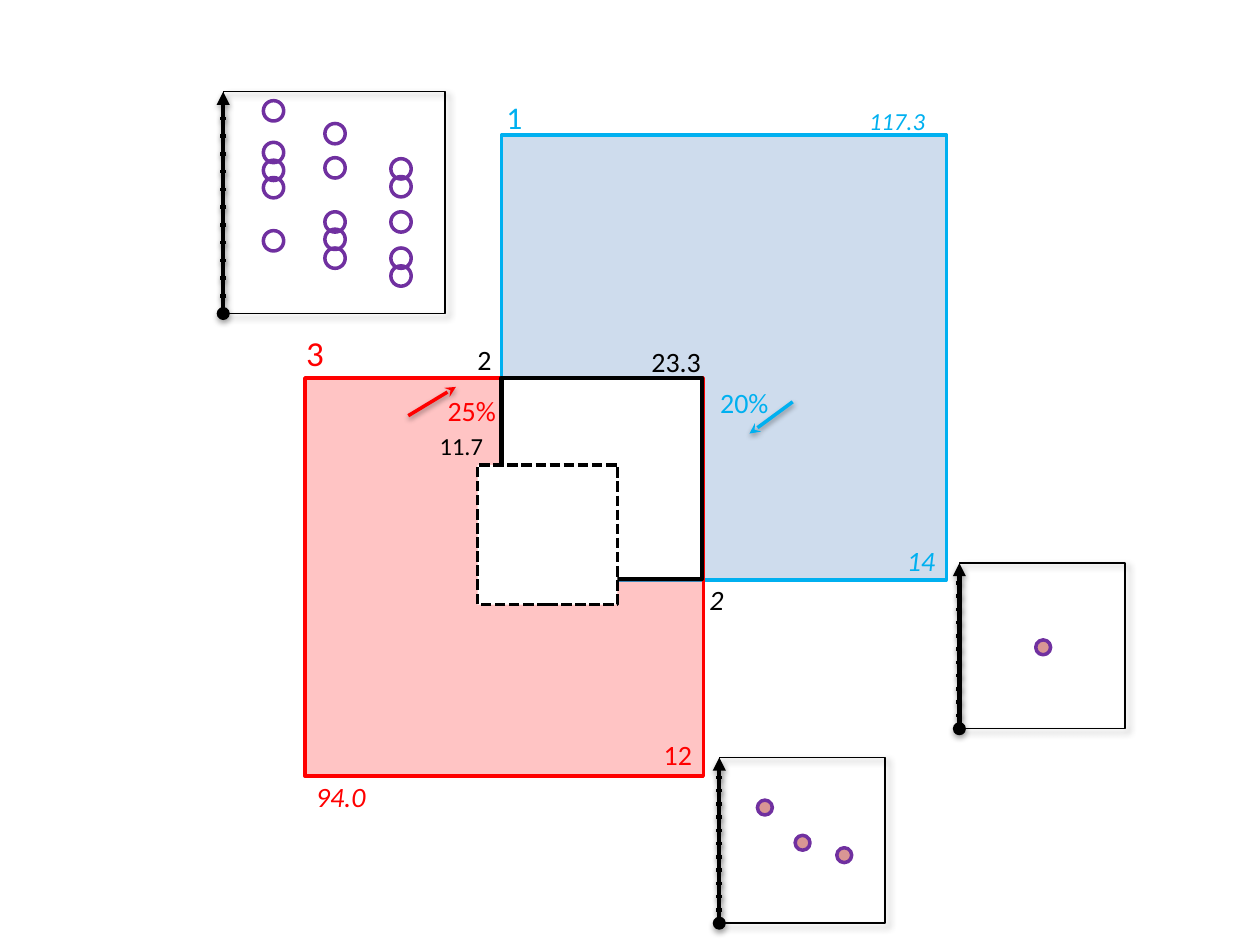
import pptx
import pptx.dml.color
import pptx.enum.dml
import pptx.enum.shapes
import pptx.enum.text
import pptx.oxml
import pptx.oxml.ns
import pptx.util
from pptx.util import Cm

RGBColor = pptx.dml.color.RGBColor
BLACK = RGBColor(0x00, 0x00, 0x00)
WHITE = RGBColor(0xFF, 0xFF, 0xFF)
BLUE = RGBColor(0x00, 0xB0, 0xF0)
PALE_BLUE = RGBColor(0xB9, 0xCD, 0xE5)
RED = RGBColor(0xFF, 0x00, 0x00)
PURPLE = RGBColor(0x70, 0x30, 0xA0)
PINK = RGBColor(0xD9, 0x96, 0x94)

RECTANGLE = pptx.enum.shapes.MSO_SHAPE.RECTANGLE
OVAL = pptx.enum.shapes.MSO_SHAPE.OVAL
LEFT, CENTER, RIGHT = (pptx.enum.text.PP_ALIGN.LEFT, pptx.enum.text.PP_ALIGN.CENTER,
                       pptx.enum.text.PP_ALIGN.RIGHT)
TOP, MIDDLE, BOTTOM = (pptx.enum.text.MSO_ANCHOR.TOP, pptx.enum.text.MSO_ANCHOR.MIDDLE,
                       pptx.enum.text.MSO_ANCHOR.BOTTOM)

NS = pptx.oxml.ns.nsdecls("a")
SHADOW = (f'<a:outerShdw {NS} blurRad="%d" dist="%d" dir="%d" rotWithShape="0">'
          '<a:srgbClr val="000000"><a:alpha val="%d"/></a:srgbClr></a:outerShdw>')
AXIS_SHADOW = SHADOW % (40000, 23000, 5400000, 35000)
LINE_SHADOW = SHADOW % (40000, 20000, 5400000, 38000)
FRAME_SHADOW = SHADOW % (50800, 38100, 2700000, 40000)


def draw_shape(shapes, kind, left, top, width, height, fill, opacity, color, weight):
    shape = shapes.add_shape(kind, Cm(left), Cm(top), Cm(width), Cm(height))
    shape.shadow.inherit = False
    if fill is None:
        shape.fill.background()
    else:
        shape.fill.solid()
        shape.fill.fore_color.rgb = fill
        if opacity < 100:
            tint = shape.fill._xPr.find(".//" + pptx.oxml.ns.qn("a:srgbClr"))
            tint.append(pptx.oxml.parse_xml(f'<a:alpha {NS} val="{opacity * 1000}"/>'))
    if color is None:
        shape.line.fill.background()
    else:
        shape.line.color.rgb = color
        shape.line.width = pptx.util.Pt(weight)
    return shape


def draw_line(shapes, start, end, color, weight, shadow, head="none", tail="none"):
    line = shapes.add_connector(pptx.enum.shapes.MSO_CONNECTOR.STRAIGHT,
                                Cm(start[0]), Cm(start[1]), Cm(end[0]), Cm(end[1]))
    line.line.color.rgb = color
    line.line.width = pptx.util.Pt(weight)
    outline = line.line._get_or_add_ln()
    outline.append(pptx.oxml.parse_xml(f'<a:headEnd {NS} type="{head}"/>'))
    outline.append(pptx.oxml.parse_xml(f'<a:tailEnd {NS} type="{tail}"/>'))
    effects = pptx.oxml.parse_xml(f"<a:effectLst {NS}/>")
    effects.append(pptx.oxml.parse_xml(shadow))
    line._element.spPr.append(effects)


prs = pptx.Presentation()
prs.slide_width = Cm(25.4)
prs.slide_height = Cm(19.05)
slide = prs.slides.add_slide(prs.slide_layouts[6])

draw_shape(slide.shapes, RECTANGLE, 10.11, 2.72, 8.97, 8.97, PALE_BLUE, 69, BLUE, 2)
draw_shape(slide.shapes, RECTANGLE, 6.15, 7.62, 8.03, 8.03, RED, 23, RED, 2)

columns = [
    (5.31, [2.03, 2.87, 3.23, 3.58, 4.65]),
    (6.55, [2.49, 3.18, 4.27, 4.62, 5.0]),
    (7.88, [3.2, 3.56, 4.27, 5.0, 5.36]),
]
rings = [(x, y) for x, tops in columns for y in tops]
plots = [
    (4.5, 1.85, 4.47, 0.41, None, rings),
    (14.5, 15.27, 3.34, 0.3, PINK, [(15.27, 16.13), (16.03, 16.84), (16.87, 17.09)]),
    (19.34, 11.35, 3.34, 0.3, PINK, [(20.88, 12.9)]),
]
TICKS = 11
for left, top, size, diameter, dot_fill, dots in plots:
    plot = slide.shapes.add_group_shape().shapes
    bottom = top + size
    draw_line(plot, (left, bottom), (left, top), BLACK, 2.5, AXIS_SHADOW, "oval", "triangle")
    for tick in range(1, TICKS + 1):
        y = bottom - tick * size * 0.08
        draw_line(plot, (left - 0.06, y), (left + 0.06, y), BLACK, 2, LINE_SHADOW)
    for x, y in dots:
        draw_shape(plot, OVAL, x, y, diameter, diameter, dot_fill, 100, PURPLE, 2)
    frame = draw_shape(plot, RECTANGLE, left, top, size, size, None, 100, BLACK, 0.75)
    effects = frame._element.spPr.find(pptx.oxml.ns.qn("a:effectLst"))
    effects.append(pptx.oxml.parse_xml(FRAME_SHADOW))

draw_shape(slide.shapes, RECTANGLE, 10.13, 7.62, 4.04, 4.04, WHITE, 100, None, 0)
draw_shape(slide.shapes, RECTANGLE, 10.11, 7.62, 4.04, 4.06, None, 100, BLACK, 2.5)
draw_line(slide.shapes, (15.98, 8.1), (15.11, 8.74), BLUE, 2, LINE_SHADOW, tail="stealth")
draw_line(slide.shapes, (8.23, 8.38), (9.19, 7.8), RED, 2, LINE_SHADOW, tail="stealth")
core = draw_shape(slide.shapes, RECTANGLE, 9.63, 9.37, 2.82, 2.82, WHITE, 100, BLACK, 2)
core.line.dash_style = pptx.enum.dml.MSO_LINE.SQUARE_DOT
core.line._get_or_add_ln().find(pptx.oxml.ns.qn("a:prstDash")).set("val", "sysDash")

labels = [
    ("117.3", 17.27, 2.01, 1.93, 0.66, 14, BLUE, True, LEFT, TOP),
    ("14", 17.27, 10.9, 1.83, 0.81, 16, BLUE, True, RIGHT, MIDDLE),
    ("12", 12.5, 14.81, 1.7, 0.81, 16, RED, False, RIGHT, MIDDLE),
    ("3", 5.92, 6.71, 3.71, 0.81, 20, RED, False, LEFT, MIDDLE),
    ("94.0", 6.12, 15.6, 1.6, 0.81, 16, RED, True, LEFT, TOP),
    ("1", 9.96, 1.75, 4.24, 1.22, 18, BLUE, False, LEFT, MIDDLE),
    ("23.3", 12.45, 6.83, 1.93, 0.66, 16, BLACK, False, RIGHT, TOP),
    ("20%", 14.27, 7.65, 1.6, 0.81, 16, BLUE, False, LEFT, TOP),
    ("25%", 8.71, 7.8, 1.6, 0.81, 16, RED, False, CENTER, TOP),
    ("2", 14.05, 11.68, 2.11, 0.81, 16, BLACK, True, LEFT, MIDDLE),
    ("2", 8.33, 6.83, 1.83, 0.81, 16, BLACK, False, RIGHT, MIDDLE),
    ("11.7", 8.26, 8.46, 1.73, 0.94, 14, BLACK, False, RIGHT, BOTTOM),
]
for text, left, top, width, height, size, color, italic, align, anchor in labels:
    label = slide.shapes.add_textbox(Cm(left), Cm(top), Cm(width), Cm(height)).text_frame
    label.word_wrap = True
    label.vertical_anchor = anchor
    label.paragraphs[0].alignment = align
    run = label.paragraphs[0].add_run()
    run.text = text
    run.font.name = "Calibri"
    run.font.size = pptx.util.Pt(size)
    run.font.italic = italic
    run.font.color.rgb = color

prs.save("out.pptx")
